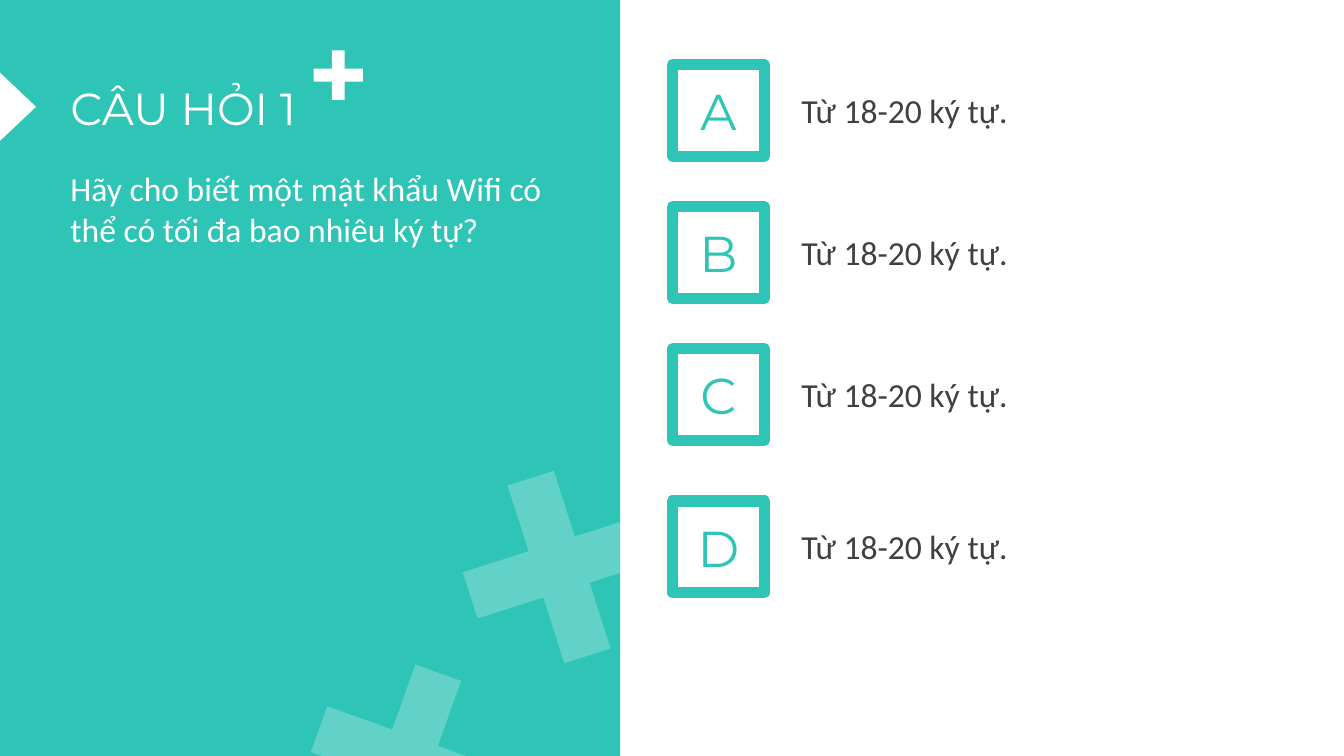
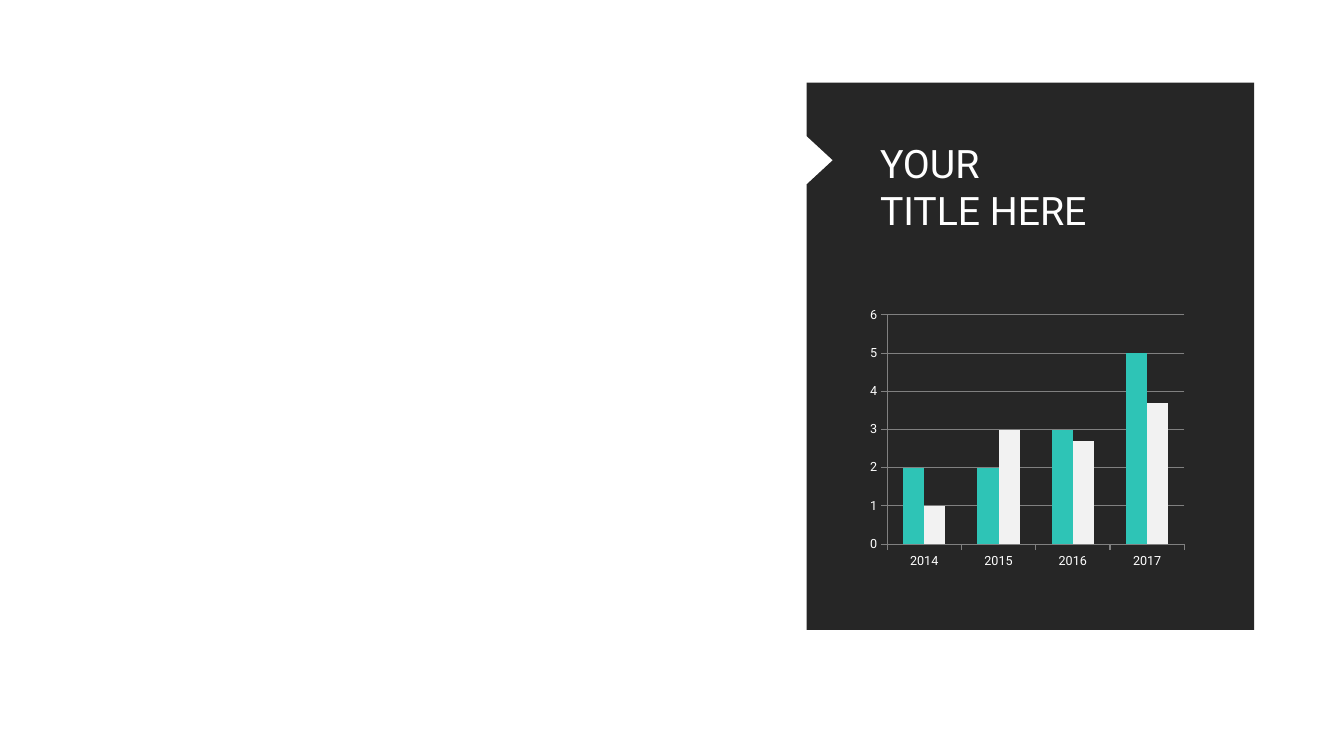
from pptx import Presentation
from pptx.chart.data import CategoryChartData
from pptx.dml.color import RGBColor
from pptx.enum.chart import XL_CHART_TYPE, XL_TICK_MARK
from pptx.enum.shapes import MSO_SHAPE
from pptx.enum.text import MSO_ANCHOR, PP_ALIGN
from pptx.oxml import parse_xml
from pptx.oxml.ns import nsdecls, qn
from pptx.util import Pt
from lxml.etree import SubElement

PX = 9144  # 100 px to the inch
TEAL, WHITE, DARK, GREY = "2EC4B6", "FFFFFF", "262626", "404040"
GRID, PALE = "808080", "F2F2F2"
HEADING, BODY, CHART_FONT = "Montserrat", "Calibri", "Roboto"
color = RGBColor.from_string


def add_panel(slide, left, top, right, bottom, notch_top, notch_width, notch_height, fill):
    """Draw a panel with an arrow-shaped notch in its left side."""
    builder = slide.shapes.build_freeform(left, top, scale=PX)
    builder.add_line_segments([
        (right, top), (right, bottom), (left, bottom),
        (left, notch_top + notch_height),
        (left + notch_width, notch_top + notch_height // 2),
        (left, notch_top)])
    panel = builder.convert_to_shape()
    panel.shadow.inherit = False
    panel.fill.solid()
    panel.fill.fore_color.rgb = color(fill)
    panel.line.fill.background()


def write_text(shape, lines, size, font, text_color, align=PP_ALIGN.LEFT, wrap=True):
    frame = shape.text_frame
    frame.word_wrap = wrap
    for index, line in enumerate(lines):
        paragraph = frame.add_paragraph() if index else frame.paragraphs[0]
        paragraph.alignment = align
        run = paragraph.add_run()
        run.text = line
        run.font.size = Pt(size)
        run.font.name = font
        run.font.color.rgb = color(text_color)


presentation = Presentation()
presentation.slide_width = 1333 * PX
presentation.slide_height = 750 * PX
blank = presentation.slide_layouts[6]

# Slide 1: question panel
slide = presentation.slides.add_slide(blank)
add_panel(slide, 0, 0, 615, 750, 72, 36, 68, TEAL)
title = slide.shapes.add_textbox(60 * PX, 75 * PX, 373 * PX, 64 * PX)
write_text(title, ["CÂU HỎI 1"], 32, HEADING, WHITE)
question = slide.shapes.add_textbox(60 * PX, 162 * PX, 502 * PX, 91 * PX)
write_text(question, ["Hãy cho biết một mật khẩu Wifi có thể có tối đa bao nhiêu ký tự?"],
           24, BODY, WHITE)

# Plus signs: left, top, size, rotation, opacity in percent
for left, top, size, rotation, opacity in [
        (311, 50, 49, 0, 100), (462, 470, 185, 72.3, 25), (311, 662, 185, 109.7, 25)]:
    plus = slide.shapes.add_shape(MSO_SHAPE.CROSS, left * PX, top * PX, size * PX, size * PX)
    plus.adjustments[0] = 0.37
    plus.rotation = rotation
    plus.shadow.inherit = False
    plus.fill.solid()
    plus.fill.fore_color.rgb = color(WHITE)
    plus.line.fill.background()
    if opacity < 100:
        tint = plus.fill._xPr.find(qn("a:solidFill"))[0]
        SubElement(tint, qn("a:alpha")).set("val", str(opacity * 1000))

# Answers
for letter, top in zip("ABCD", [64, 205, 346, 497]):
    group = slide.shapes.add_group_shape()
    box = group.shapes.add_shape(MSO_SHAPE.RECTANGLE, 667 * PX, top * PX, 91 * PX, 91 * PX)
    box.shadow.inherit = False
    box.fill.background()
    box.line.color.rgb = color(TEAL)
    box.line.width = Pt(8)
    box.text_frame.vertical_anchor = MSO_ANCHOR.MIDDLE
    write_text(box, [letter], 36, HEADING, TEAL, PP_ALIGN.CENTER)
    answer = group.shapes.add_textbox(785 * PX, (top + 20) * PX, 502 * PX, 50 * PX)
    write_text(answer, ["Từ 18-20 ký tự."], 24, BODY, GREY)

# Slide 2: chart panel
slide = presentation.slides.add_slide(blank)
add_panel(slide, 800, 82, 1244, 625, 135, 26, 48, DARK)
title = slide.shapes.add_textbox(863 * PX, 133 * PX, 247 * PX, 104 * PX)
write_text(title, ["YOUR", "TITLE HERE"], 28, CHART_FONT, WHITE, wrap=False)

# Column chart
chart_data = CategoryChartData()
chart_data.categories = ["2014", "2015", "2016", "2017"]
chart_data.add_series("Series 1", [2, 2, 3, 5])
chart_data.add_series("Series 2", [1, 3, 2.7, 3.7])
chart = slide.shapes.add_chart(XL_CHART_TYPE.COLUMN_CLUSTERED, 863 * PX, 296 * PX,
                               318 * PX, 274 * PX, chart_data).chart
chart.has_legend = False
chart.has_title = False
chart.font.size = Pt(9)
chart.font.name = CHART_FONT
chart.font.color.rgb = color(WHITE)
plot = chart.plots[0]
plot.gap_width = 150
plot.overlap = 0
plot.vary_by_categories = False
for series, fill in zip(plot.series, [TEAL, PALE]):
    series.format.fill.solid()
    series.format.fill.fore_color.rgb = color(fill)

# Axes and gridlines
value_axis, category_axis = chart.value_axis, chart.category_axis
value_axis.minimum_scale = 0
value_axis.maximum_scale = 6
value_axis.major_unit = 1
value_axis.has_major_gridlines = True
for axis in (value_axis, category_axis):
    axis.major_tick_mark = XL_TICK_MARK.OUTSIDE
    axis.minor_tick_mark = XL_TICK_MARK.NONE
for part in (value_axis, category_axis, value_axis.major_gridlines):
    part.format.line.color.rgb = color(GRID)
    part.format.line.width = Pt(0.75)

# Fixed inner plot area
plot_area = chart._chartSpace.find(".//" + qn("c:plotArea"))
for layout in plot_area.findall(qn("c:layout")):
    plot_area.remove(layout)
plot_area.insert(0, parse_xml(
    f'<c:layout {nsdecls("c")}><c:manualLayout><c:layoutTarget val="inner"/>'
    '<c:xMode val="edge"/><c:yMode val="edge"/><c:x val="0.05"/><c:y val="0.06"/>'
    '<c:w val="0.93"/><c:h val="0.83"/></c:manualLayout></c:layout>'))

presentation.save("out.pptx")
